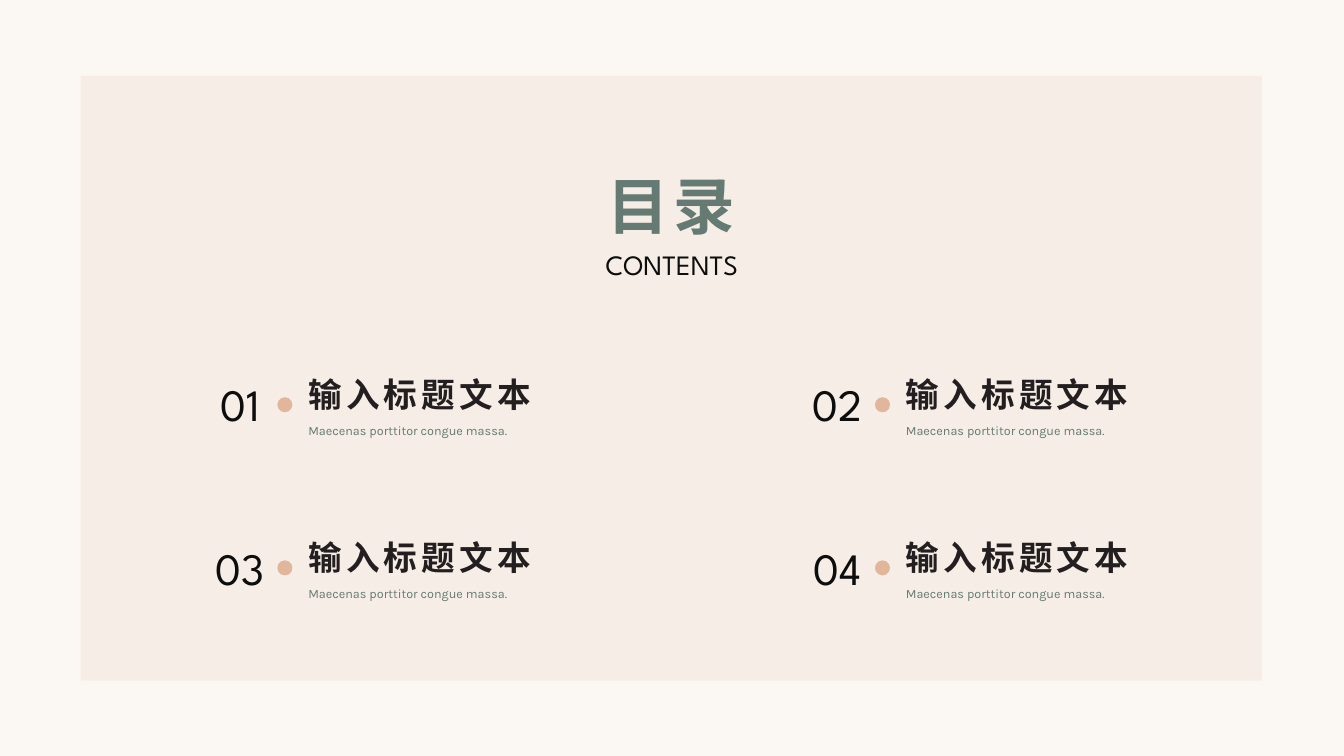
"""Build a contents slide with four numbered entries on a tinted panel."""
from lxml import etree
from pptx import Presentation
from pptx import util as u
from pptx.dml.color import RGBColor
from pptx.enum import shapes, text
from pptx.oxml.ns import qn

HEADING = ("目录", "CONTENTS")
ENTRIES = [
    ("01", "输入标题文本", "Maecenas porttitor congue massa."),
    ("02", "输入标题文本", "Maecenas porttitor congue massa."),
    ("03", "输入标题文本", "Maecenas porttitor congue massa."),
    ("04", "输入标题文本", "Maecenas porttitor congue massa."),
]

CJK, DISPLAY, BODY = "Noto Sans CJK SC", "League Spartan", "Karla"
THEME = {
    "page": "FBF7F3",
    "panel": "F6EDE5",
    "dot": "E2B69A",
    "heading": dict(font=CJK, size=44, color="647A72", bold=True, spacing=3),
    "subheading": dict(font=DISPLAY, size=20, color="0D0D0D"),
    "number": dict(font=DISPLAY, size=32, color="0D0D0D"),
    "title": dict(font=CJK, size=24, color="231E1F", bold=True, spacing=3),
    "caption": dict(font=BODY, size=9, color="647A72", leading=1.5),
}

PAGE_SIZE = (33.87, 19.05)
PANEL = (2.03, 1.91, 29.77, 15.24)
PANEL_OPACITY = 88
COLUMNS = 2
GRID_LEFT, GRID_TOP = 7.52, 9.3
COLUMN_STEP, ROW_STEP = 15.06, 4.11


def add_solid(page, kind, place, color):
    shape = page.shapes.add_shape(kind, *map(u.Cm, place))
    shape.shadow.inherit = False
    shape.fill.solid()
    shape.fill.fore_color.rgb = RGBColor.from_string(color)
    shape.line.fill.background()
    return shape


def add_text(page, words, place, role, align, wrap=True):
    style = THEME[role]
    box = page.shapes.add_textbox(*map(u.Cm, place))
    frame = box.text_frame
    frame.word_wrap = wrap
    frame.auto_size = text.MSO_AUTO_SIZE.SHAPE_TO_FIT_TEXT
    para = frame.paragraphs[0]
    para.alignment = align
    para.line_spacing = style.get("leading")
    para.font.name = style["font"]
    para.font.size = u.Pt(style["size"])
    para.font.bold = style.get("bold", False)
    para.font.color.rgb = RGBColor.from_string(style["color"])
    span = para.add_run()
    span.text = words
    if "spacing" in style:
        properties = span._r.get_or_add_rPr()
        properties.set("spc", str(style["spacing"] * 100))
        etree.SubElement(properties, qn("a:ea"), typeface=style["font"])


def add_entry(page, index, entry):
    number, title, caption = entry
    row, column = divmod(index, COLUMNS)
    left = GRID_LEFT + column * COLUMN_STEP
    top = GRID_TOP + row * ROW_STEP
    align = text.PP_ALIGN
    add_text(page, title, (left, top, 6.3, 1.28), "title", align.LEFT, wrap=False)
    add_text(page, caption, (left, top + 1.04, 6.3, 0.76), "caption", align.JUSTIFY)
    add_text(page, number, (left - 2.54, top + 0.08, 2.13, 1.62), "number", align.CENTER)
    add_solid(page, shapes.MSO_SHAPE.OVAL, (left - 0.53, top + 0.71, 0.38, 0.38), THEME["dot"])


def main():
    deck = Presentation()
    deck.slide_width, deck.slide_height = map(u.Cm, PAGE_SIZE)
    page = deck.slides.add_slide(deck.slide_layouts[6])
    page.background.fill.solid()
    page.background.fill.fore_color.rgb = RGBColor.from_string(THEME["page"])

    panel = add_solid(page, shapes.MSO_SHAPE.RECTANGLE, PANEL, THEME["panel"])
    color = panel._element.spPr.find(qn("a:solidFill"))[0]
    etree.SubElement(color, qn("a:alpha"), val=str(PANEL_OPACITY * 1000))

    for index, entry in enumerate(ENTRIES):
        add_entry(page, index, entry)

    heading, subheading = HEADING
    center = text.PP_ALIGN.CENTER
    add_text(page, heading, (14.99, 4.11, 3.86, 2.14), "heading", center, wrap=False)
    add_text(page, subheading, (13.67, 6.12, 6.53, 1.11), "subheading", center)
    deck.save("out.pptx")


if __name__ == "__main__":
    main()
